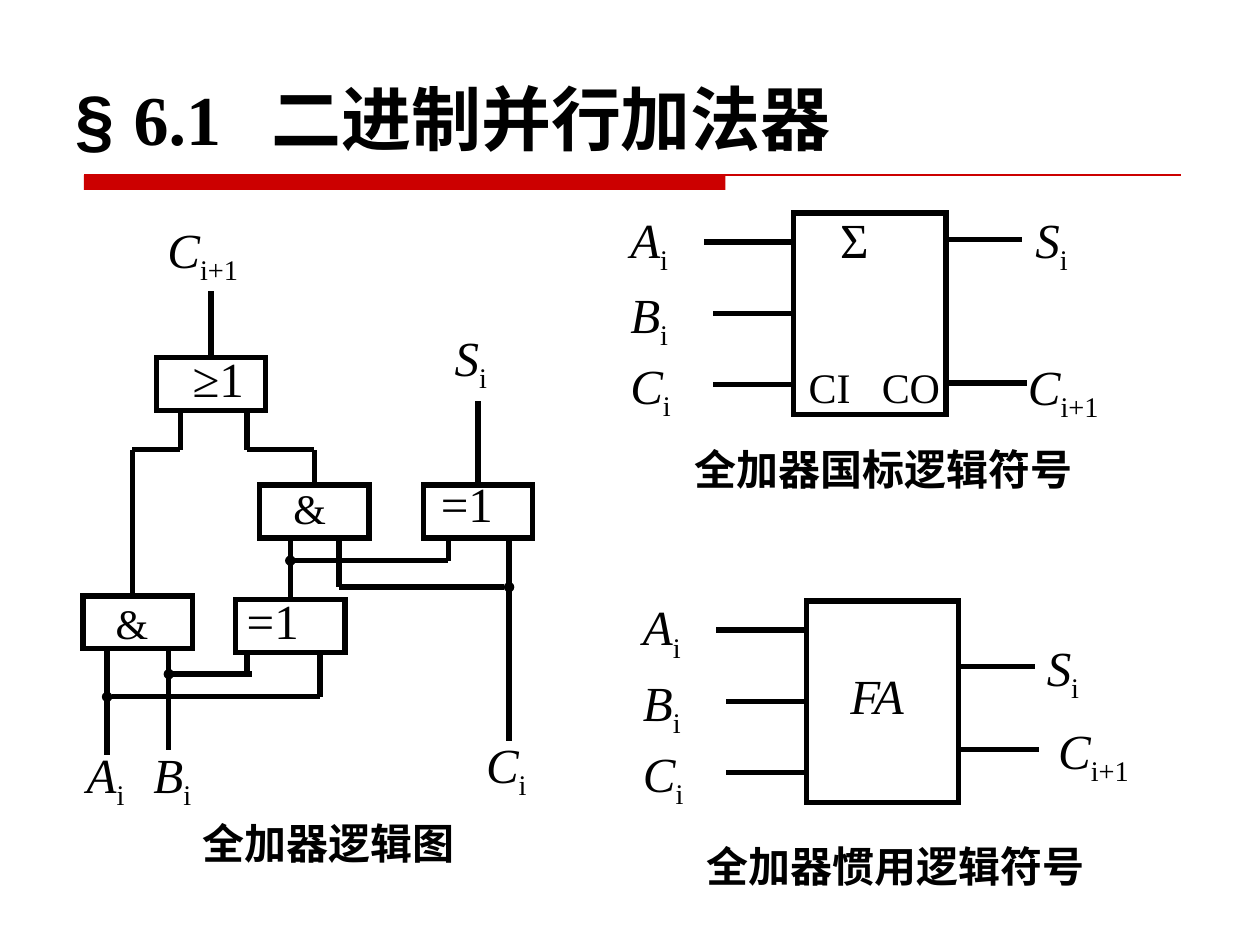
import pptx
import pptx.dml.color
import pptx.enum.shapes
import pptx.enum.text
import pptx.oxml.ns
import pptx.util
from lxml import etree

Pt = pptx.util.Pt
qn = pptx.oxml.ns.qn
ALIGN = pptx.enum.text.PP_ALIGN
TOP, LEFT = 0, 1


def hue(code):
    return pptx.dml.color.RGBColor.from_string(code)


class Sheet:
    """Holds the style and the slide being drawn."""
    ink, paper, red = "000000", "FFFFFF", "CC0000"
    face, sans = "Times New Roman", "Arial"
    stroke = 3

    def __init__(self, deck):
        self.slide = deck.slides.add_slide(deck.slide_layouts[6])
        self.shapes = self.slide.shapes

    def rect(self, x, y, w, h, fill=paper, line=ink):
        kind = pptx.enum.shapes.MSO_SHAPE.RECTANGLE
        box = self.shapes.add_shape(kind, Pt(x), Pt(y), Pt(w), Pt(h))
        box.shadow.inherit = False
        box.fill.solid()
        box.fill.fore_color.rgb = hue(fill)
        if line:
            box.line.color.rgb = hue(line)
            box.line.width = Pt(self.stroke)
            etree.SubElement(box.line._get_or_add_ln(), qn("a:miter"), lim="800000")
        else:
            box.line.fill.background()
        return box

    def wire(self, x1, y1, x2, y2, dot=None, join=None, color=ink, width=stroke):
        """Straight line; dot is headEnd or tailEnd, join a (box, side) for its start."""
        kind = pptx.enum.shapes.MSO_CONNECTOR.STRAIGHT
        line = self.shapes.add_connector(kind, Pt(x1), Pt(y1), Pt(x2), Pt(y2))
        line.line.color.rgb = hue(color)
        line.line.width = Pt(width)
        if dot:
            etree.SubElement(line.line._get_or_add_ln(), qn("a:" + dot),
                             type="oval", w="sm", len="sm")
        etree.SubElement(line._element.spPr, qn("a:effectLst"))
        if join:
            line.begin_connect(*join)

    def text(self, x, y, w, h, size, wrap=True, align=ALIGN.LEFT):
        """Empty text box; returns its paragraph."""
        box = self.shapes.add_textbox(Pt(x), Pt(y), Pt(w), Pt(h))
        frame = box.text_frame
        frame.word_wrap = wrap
        if not wrap:
            frame.auto_size = pptx.enum.text.MSO_AUTO_SIZE.SHAPE_TO_FIT_TEXT
        para = frame.paragraphs[0]
        para.alignment = align
        para.font.size = Pt(size)
        return para

    def run(self, para, words, bold=False, slant=False, sub=False, face=face):
        run = para.add_run()
        run.text = words
        font = run.font
        font.size = para.font.size
        font.name = face
        font.bold, font.italic = bold, slant
        font.color.rgb = hue(self.ink)
        props = font._element
        etree.SubElement(props, qn("a:ea"), typeface=self.sans)
        if sub:
            props.set("baseline", "-25000")

    def label(self, x, y, words, size=28, slant=False, w=80, wrap=True):
        para = self.text(x, y, w, 36, size, wrap)
        self.run(para, words, slant=slant)
        return para

    def term(self, x, y, name, index="i"):
        """Italic letter with an upright subscript."""
        para = self.label(x, y, name, slant=True)
        self.run(para, index, sub=True)

    def title(self):
        para = self.text(36, 39.6, 648, 62, 40)
        stops = etree.SubElement(para._p.get_or_add_pPr(), qn("a:tabLst"))
        etree.SubElement(stops, qn("a:tab"), pos=str(Pt(112)), algn="l")
        # the tab list must come ahead of the default run style
        stops.getparent().insert(0, stops)
        self.run(para, "§ ", bold=True, face=self.sans)
        self.run(para, "6.1\t二进制并行加法器", bold=True)
        self.rect(48, 100, 366.5, 8.6, self.red, None)
        self.wire(48, 100, 674.6, 100, color=self.red, width=0.75)

    def caption(self, x, y, w, words):
        para = self.text(x, y, w, 39, 24, align=ALIGN.CENTER)
        self.run(para, words, bold=True)

    def block(self, x, y, name, slant, at, outs, drop):
        """Adder symbol: at places its name, outs are (wire y, length, label x, label y)."""
        w, h = 87, 115
        box = self.rect(x, y, w, h)
        ins = (("A", 16.6, 51.5, -5.8), ("B", h / 2, 46, 37.2), ("C", 97.9, 46, 77.8))
        for letter, dy, reach, top in ins:
            join = (box, LEFT) if letter == "B" else None
            self.wire(x, y + dy, x - reach, y + dy, join=join)
            self.term(x - 100.5, y + top, letter)
        for (dy, reach, dx, top), part in zip(outs, (("S", "i"), ("C", "i+1"))):
            self.wire(x + w, y + dy, x + w + reach, y + dy)
            self.term(x + dx, y + top, *part)
        self.label(x + at[0], y + at[1], name, slant=slant)
        self.caption(x - 88.6, y + drop, 279.4, f"全加器{'惯用' if slant else '国标'}逻辑符号")

    def circuit(self):
        spots = {"and1": (47.5, 340.6), "xor1": (134.6, 342.7), "and2": (148.3, 277.2),
                 "xor2": (241.9, 277.2), "or": (89.3, 204.5)}
        gate = {key: self.rect(x, y, 62.6, 30.2) for key, (x, y) in spots.items()}
        for x1, y1, x2, y2, *dot in (
                (61.2, 370.8, 61.2, 431.3), (96.5, 370.8, 96.5, 428.4),
                (96.5, 385.2, 144, 385.2, "headEnd"), (141.1, 373, 141.1, 385.9),
                (61.2, 398.2, 182.9, 398.2, "headEnd"), (182.9, 373, 182.9, 398.2),
                (290.9, 307.4, 290.9, 423.4), (193.7, 307.4, 193.7, 335.5),
                (193.7, 335.5, 290.9, 335.5, "tailEnd"),
                (165.9, 320.4, 256.3, 320.4, "headEnd"), (256.3, 307.4, 256.3, 320.4),
                (75.6, 340.6, 75.6, 257), (179.6, 257, 141.1, 257),
                (141.1, 234.7, 141.1, 257), (103, 234.7, 103, 257),
                (75.6, 257, 103, 257)):
            self.wire(x1, y1, x2, y2, *dot)
        for key, end in (("xor1", 307.4), ("and2", 257), ("or", 166.3), ("xor2", 229)):
            x, y = spots[key]
            self.wire(x + 31.3, y, x + 31.3, end, join=(gate[key], TOP))
        for x, y, words in ((133.9, 334.1, "=1"), (244.8, 267.1, "=1"), (103, 195.8, "≥1")):
            self.label(x, y, words)
        for x, y in ((160.6, 272.2), (59, 337.7)):
            self.label(x, y, "&", 24, w=35, wrap=False)
        self.term(88.6, 121.7, "C", "i+1")
        for x, y, name in ((252.7, 183.6, "S"), (42.5, 421.9, "A"),
                           (80.6, 421.9, "B"), (270.7, 416.2, "C")):
            self.term(x, y, name)
        self.caption(23, 463.7, 329.8, "全加器逻辑图")


def main():
    deck = pptx.Presentation()
    deck.slide_width, deck.slide_height = Pt(720), Pt(540)
    sheet = Sheet(deck)
    sheet.title()
    sheet.circuit()
    sheet.block(460.8, 343.4, "FA", True, (18, 33.1),
                ((37.4, 43.5, 130.3, 17.3), (85, 46, 136.8, 64.8)), 133.2)
    sheet.block(453.6, 121.7, "Σ", False, (19.4, -5.8),
                ((15.1, 43.5, 131, -5.8), (97.2, 46, 126.7, 78.5)), 128.2)
    for x, w, words in ((455, 41, "CI"), (496.8, 50, "CO")):
        sheet.label(x, 203, words, 24, w=w, wrap=False)
    deck.save("out.pptx")


if __name__ == "__main__":
    main()
